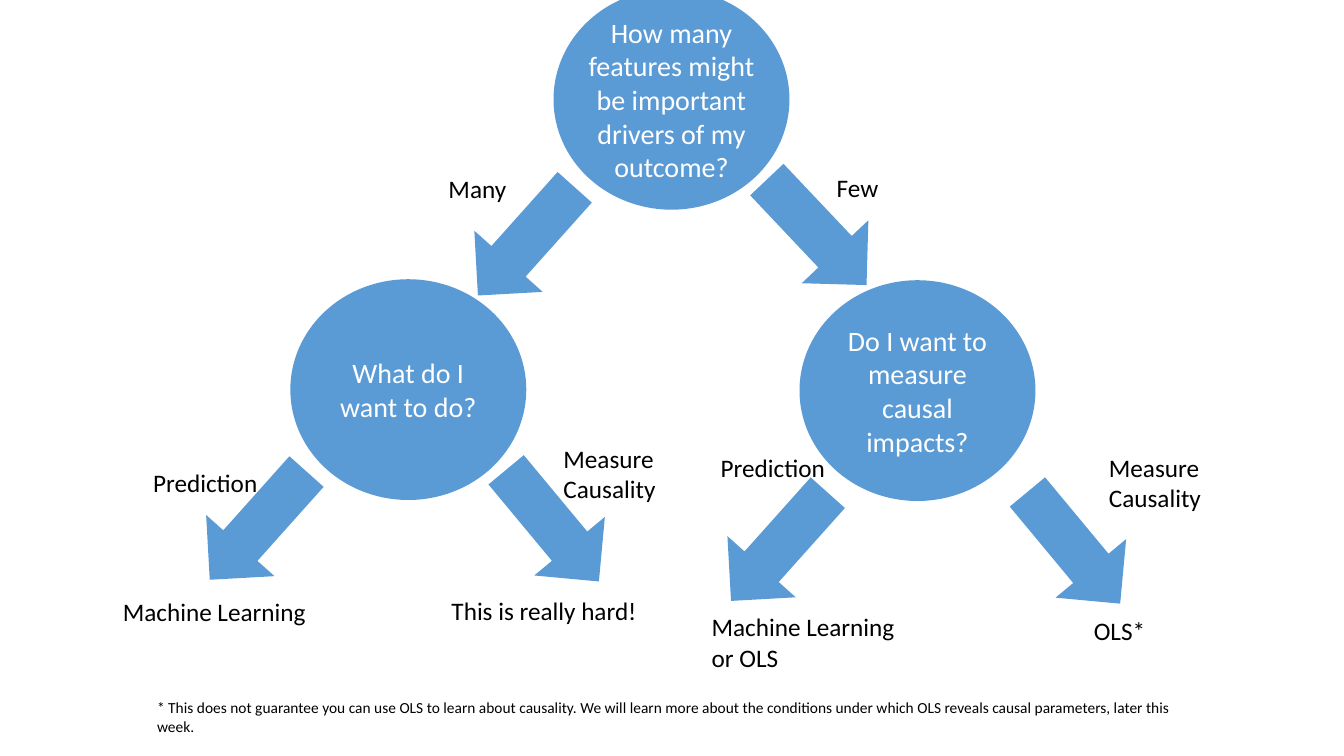
import pptx
import pptx.dml.color
import pptx.enum.shapes
import pptx.enum.text
import pptx.util

Inches = pptx.util.Inches
Shape = pptx.enum.shapes.MSO_SHAPE
Align = pptx.enum.text.PP_ALIGN

BLUE = pptx.dml.color.RGBColor(0x5B, 0x9B, 0xD5)
WHITE = pptx.dml.color.RGBColor(0xFF, 0xFF, 0xFF)
BLACK = pptx.dml.color.RGBColor(0x00, 0x00, 0x00)


def write(frame, text, size=18, color=BLACK, align=Align.LEFT, font="Calibri"):
    frame.word_wrap = True
    para = frame.paragraphs[0]
    para.alignment = align
    span = para.add_run()
    span.text = text
    span.font.name = font
    span.font.size = pptx.util.Pt(size)
    span.font.color.rgb = color


class DecisionTree:
    """Style and page of the decision tree."""

    circle_size = (2.34, 2.19)
    arrow_size = (1.44, 0.91)

    def __init__(self, page):
        self.page = page

    def solid(self, kind, left, top, size):
        shape = self.page.shapes.add_shape(kind, *map(Inches, (left, top, *size)))
        shape.shadow.inherit = False
        shape.fill.solid()
        shape.fill.fore_color.rgb = BLUE
        shape.line.fill.background()
        return shape

    def question(self, text, left, top):
        frame = self.solid(Shape.OVAL, left, top, self.circle_size).text_frame
        frame.margin_left = frame.margin_right = 0
        frame.vertical_anchor = pptx.enum.text.MSO_ANCHOR.MIDDLE
        write(frame, text, size=20, color=WHITE, align=Align.CENTER)

    def arrow(self, left, top, angle):
        self.solid(Shape.RIGHT_ARROW, left, top, self.arrow_size).rotation = angle

    def label(self, text, left, top, width, height=0.4, size=18):
        box = self.page.shapes.add_textbox(*map(Inches, (left, top, width, height)))
        write(box.text_frame, text, size=size)
        box.text_frame.auto_size = pptx.enum.text.MSO_AUTO_SIZE.SHAPE_TO_FIT_TEXT


def main():
    deck = pptx.Presentation()
    deck.slide_width, deck.slide_height = Inches(13.33), Inches(7.5)
    tree = DecisionTree(deck.slides.add_slide(deck.slide_layouts[6]))

    # Questions
    tree.question("How many features might be important drivers of my outcome?", 5.49, -0.11)
    tree.question("What do I want to do?", 2.88, 2.77)
    tree.question("Do I want to measure causal impacts?", 7.93, 2.78)

    # Branches, a left and a right arrow below each question
    for left, top, angle in (
        (4.5, 1.94, 131.8), (7.38, 1.85, 46.6),
        (1.84, 4.76, 131.8), (4.76, 4.76, 50.3),
        (7.01, 4.97, 131.8), (9.93, 4.98, 50.3),
    ):
        tree.arrow(left, top, angle)

    # Answers beside the arrows
    tree.label("Many", 4.35, 1.67, 0.87)
    tree.label("Few", 8.2, 1.66, 0.69)
    tree.label("Prediction", 1.42, 4.59, 1.39)
    tree.label("Prediction", 7.05, 4.44, 1.36)
    tree.label("Measure Causality", 5.49, 4.35, 1.13, 0.71)
    tree.label("Measure Causality", 10.9, 4.44, 1.13, 0.71)

    # Recommended methods
    tree.label("Machine Learning", 1.12, 5.87, 2.23)
    tree.label("This is really hard!", 4.38, 5.86, 2.23)
    tree.label("Machine Learning or OLS", 6.96, 6.02, 2.23, 0.71)
    tree.label("OLS*", 10.75, 6.06, 2.23)

    # Footnote
    tree.label(
        "* This does not guarantee you can use OLS to learn about causality. "
        "We will learn more about the conditions under which OLS reveals "
        "causal parameters, later this week.",
        1.46, 6.88, 10.4, 0.47, size=11,
    )

    deck.save("out.pptx")


if __name__ == "__main__":
    main()
